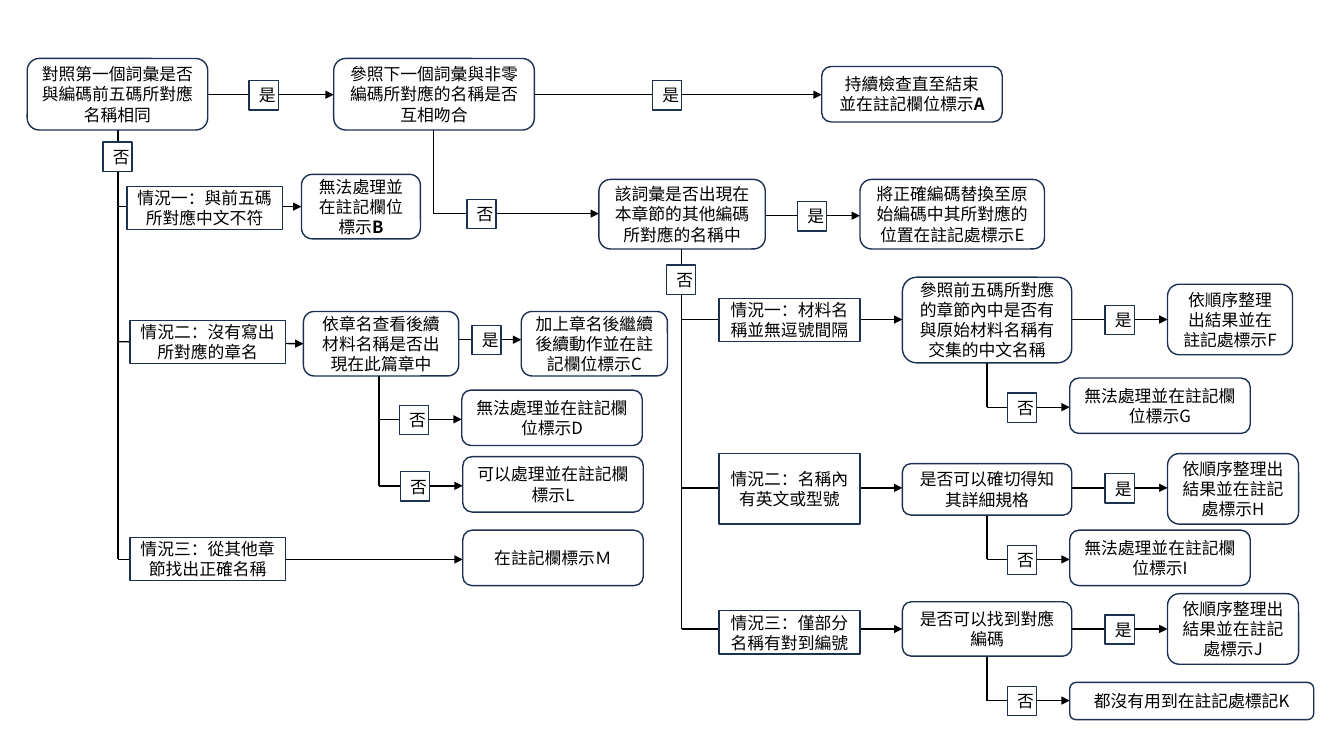
from dataclasses import dataclass
from lxml.etree import SubElement
from pptx import Presentation
from pptx.dml.color import RGBColor
from pptx.enum.shapes import MSO_CONNECTOR, MSO_SHAPE
from pptx.enum.text import MSO_ANCHOR, PP_ALIGN
from pptx.oxml.ns import qn
from pptx.util import Pt

STEPS = {
    "first": (27, 58, 179, 71, "對照第一個詞彙是否與編碼前五碼所對應名稱相同"),
    "next": (331, 58, 199, 71, "參照下一個詞彙與非零編碼所對應的名稱是否互相吻合"),
    "A": (815, 66, 179, 55, "持續檢查直至結束\n並在註記欄位標示*A"),
    "B": (299, 173, 118, 64, "無法處理並在註記欄位標示*B"),
    "other": (594, 178, 165, 69, "該詞彙是否出現在本章節的其他編碼所對應的名稱中"),
    "E": (853, 178, 183, 69, "將正確編碼替換至原始編碼中其所對應的位置在註記處標示E"),
    "prefix": (895, 275, 168, 85, "參照前五碼所對應的章節內中是否有與原始材料名稱有交集的中文名稱"),
    "F": (1158, 282, 124, 70, "依順序整理出結果並在註記處標示F"),
    "G": (1061, 375, 179, 55, "無法處理並在註記欄位標示G"),
    "detail": (895, 460, 168, 51, "是否可以確切得知其詳細規格"),
    "H": (1158, 450, 130, 70, "依順序整理出結果並在註記處標示H"),
    "I": (1061, 526, 179, 55, "無法處理並在註記欄位標示I"),
    "match": (895, 597, 168, 54, "是否可以找到對應編碼"),
    "J": (1158, 589, 130, 70, "依順序整理出結果並在註記處標示J"),
    "K": (1061, 677, 242, 37, "都沒有用到在註記處標記K"),
    "chapter": (301, 309, 154, 64, "依章名查看後續材料名稱是否出現在此篇章中"),
    "C": (517, 309, 145, 64, "加上章名後繼續後續動作並在註記欄位標示C"),
    "D": (458, 387, 179, 55, "無法處理並在註記欄位標示D"),
    "L": (459, 453, 179, 55, "可以處理並在註記欄標示L"),
    "M": (459, 526, 179, 55, "在註記欄標示Ｍ"),
}
CASES = [
    (126, 185, 154, 43, "情況一：與前五碼所對應中文不符"),
    (129, 318, 154, 43, "情況二：沒有寫出所對應的章名"),
    (129, 533, 154, 43, "情況三：從其他章節找出正確名稱"),
    (713, 296, 140, 43, "情況一：材料名稱並無逗號間隔"),
    (713, 450, 140, 70, "情況二：名稱內有英文或型號"),
    (713, 606, 140, 43, "情況三：僅部分名稱有對到編號"),
]
YES = [
    ("first", "next", 94, 247), ("next", "A", 94, 647),
    ("other", "E", 214, 791), ("chapter", "C", 337, 468),
    ("prefix", "F", 317, 1096), ("detail", "H", 484, 1096),
    ("match", "J", 624, 1096),
]
NO = [
    ("next", "other", 430, 212, 463), ("prefix", "G", 979, 404, 999),
    ("detail", "I", 979, 555, 999), ("match", "K", 979, 695, 999),
    ("chapter", "D", 376, 416, 396), ("chapter", "L", 376, 482, 397),
]
TRUNKS = [
    ("first", 117, (102, 141), [("B", 205, 205), ("chapter", 339, 341), ("M", 555, 555)]),
    ("other", 676, (661, 263), [("prefix", 317, 317), ("detail", 484, 484), ("match", 624, 624)]),
]


@dataclass
class Theme:
    edge = RGBColor(0x1C, 0x30, 0x52)
    ink = RGBColor(0, 0, 0)
    paper = RGBColor(255, 255, 255)
    face = "Noto Sans CJK TC"
    size = Pt(12)
    width = Pt(1)


SCALE = 9144
TAG = 29
deck = Presentation()
deck.slide_width, deck.slide_height = 1333 * SCALE, 750 * SCALE
slide = deck.slides.add_slide(deck.slide_layouts[6])


def style(item, **values):
    for name, value in values.items():
        setattr(item, name, value)


def add_line(*ends, arrow=False):
    line = slide.shapes.add_connector(MSO_CONNECTOR.STRAIGHT, *(n * SCALE for n in ends))
    line.line.color.rgb = Theme.ink
    line.line.width = Theme.width
    if arrow:
        SubElement(line.line._get_or_add_ln(), qn("a:tailEnd"), type="triangle")
    SubElement(line._element.spPr, qn("a:effectLst"))


def add_run(para, text, bold):
    run = para.add_run()
    run.text = text
    style(run.font, name=Theme.face, size=Theme.size, bold=bold)
    run.font.color.rgb = Theme.ink
    SubElement(run.font._element, qn("a:ea"), typeface=Theme.face)


def add_box(x, y, w, h, text, kind=MSO_SHAPE.RECTANGLE):
    box = slide.shapes.add_shape(kind, *(n * SCALE for n in (x, y, w, h)))
    box.shadow.inherit = False
    if kind == MSO_SHAPE.RECTANGLE:
        box.fill.solid()
        box.fill.fore_color.rgb = Theme.paper
    else:
        box.fill.background()
    box.line.color.rgb = Theme.edge
    box.line.width = Theme.width
    frame = box.text_frame
    style(frame, word_wrap=True, vertical_anchor=MSO_ANCHOR.MIDDLE)
    for i, row in enumerate(text.split("\n")):
        para = frame.add_paragraph() if i else frame.paragraphs[0]
        para.alignment = PP_ALIGN.CENTER
        for j, part in enumerate(row.split("*")):
            add_run(para, part, j == 1)


def base(key):
    return STEPS[key][1] + STEPS[key][3]


def main():
    tags = []
    for start, end, y, x in YES:
        add_line(STEPS[start][0] + STEPS[start][2], y, STEPS[end][0], y, arrow=True)
        tags.append((x, y - TAG // 2, "是"))
    for start, end, drop, y, x in NO:
        add_line(drop, base(start), drop, y)
        add_line(drop, y, STEPS[end][0], y, arrow=True)
        tags.append((x, y - TAG // 2, "否"))
    for start, x, spot, ends in TRUNKS:
        add_line(x, base(start), x, ends[-1][1])
        for end, top, low in ends:
            add_line(x, top, STEPS[end][0], low, arrow=True)
        tags.append((*spot, "否"))
    for step in STEPS.values():
        add_box(*step, kind=MSO_SHAPE.ROUNDED_RECTANGLE)
    for case in CASES:
        add_box(*case)
    for x, y, text in tags:
        add_box(x, y, TAG, TAG, text)
    deck.save("out.pptx")


if __name__ == "__main__":
    main()
